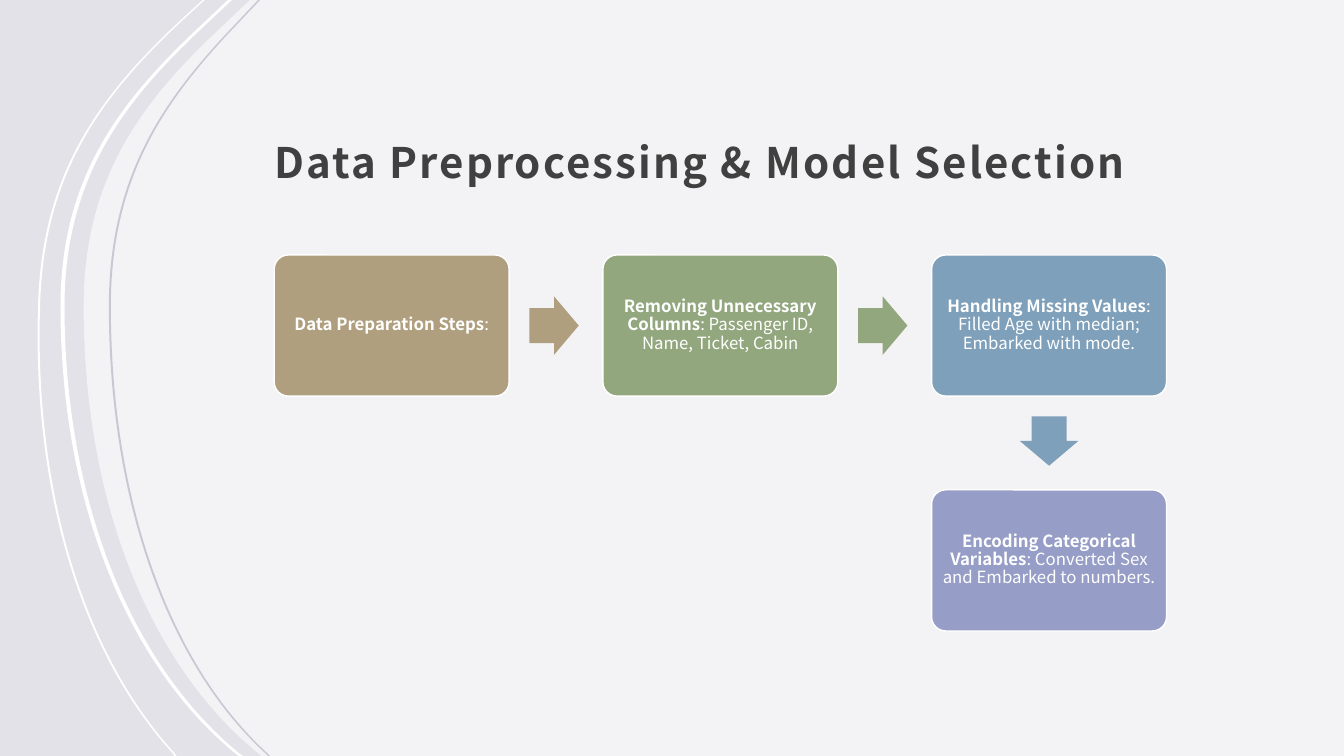
from dataclasses import dataclass

from lxml import etree
from pptx import Presentation
from pptx.dml.color import RGBColor
from pptx.enum.shapes import MSO_SHAPE
from pptx.enum.text import MSO_ANCHOR, MSO_AUTO_SIZE, PP_ALIGN
from pptx.oxml.ns import qn
from pptx.util import Inches, Pt

ROUNDED = MSO_SHAPE.ROUNDED_RECTANGLE
ARROW = MSO_SHAPE.RIGHT_ARROW
MIDDLE, BOTTOM = MSO_ANCHOR.MIDDLE, MSO_ANCHOR.BOTTOM
LEFT, CENTER = PP_ALIGN.LEFT, PP_ALIGN.CENTER
NO_FIT = MSO_AUTO_SIZE.NONE

Point = tuple[float, float]


@dataclass(frozen=True)
class Theme:
    font: str = "Noto Sans CJK JP"
    title_size: float = 30
    step_size: float = 12
    title: str = "404040"
    white: str = "FFFFFF"
    backdrop: str = "E2E2E8"
    hairline: str = "C8C8D4"
    sand: str = "AF9F7E"
    sage: str = "93A77F"
    steel: str = "7FA0BA"
    lilac: str = "969DC6"


THEME = Theme()
SLIDE_W, SLIDE_H = 13.33, 7.5
BOX_W, BOX_H = 2.33, 1.4
ARROW_W, ARROW_H = 0.49, 0.58
FLOW_LEFT, FLOW_TOP = 2.72, 2.53
COLUMN_PITCH, ROW_PITCH = 3.26, 2.33
ARROW_GAP = 0.2

SWEEP_YS = (0, 0.35, 1.04, 1.79, 3.04, 4.92, 6.57, 7.48, 7.5)
OUTER_YS = (0, 0.24, 0.93, 1.68, 2.97, 4.8, 6.45, 7.47, 7.5)
PANEL_XS = (2.48, 2.11, 1.39, 0.83, 0.83, 0.83, 1.45, 2.57, 2.59)
PANEL_CURVES = (2, 5)
RIBBON_CURVES = (2, 5, 11, 14)


@dataclass(frozen=True)
class Ribbon:
    xs: tuple[float, ...]
    ys: tuple[float, ...]
    thickness: float
    color: str


@dataclass(frozen=True)
class Step:
    heading: str
    detail: str
    color: str
    column: int
    row: int
    next_angle: int | None


RIBBONS = (
    Ribbon((2.01, 1.75, 1.02, 0.43, 0.38, 0.31, 0.78, 1.71, 1.73),
           OUTER_YS, 0.02, THEME.white),
    Ribbon((2.26, 1.89, 1.17, 0.6, 0.6, 0.6, 1.23, 2.34, 2.37),
           SWEEP_YS, 0.04, THEME.white),
    Ribbon((2.56, 2.23, 1.59, 1.08, 1.08, 1.08, 1.64, 2.64, 2.66),
           SWEEP_YS, 0.02, THEME.hairline),
)

STEPS = (
    Step("Data Preparation Steps", ":", THEME.sand, 0, 0, 0),
    Step("Removing Unnecessary Columns", ": Passenger ID, Name, Ticket, Cabin",
         THEME.sage, 1, 0, 0),
    Step("Handling Missing Values",
         ": Filled Age with median; Embarked with mode.", THEME.steel, 2, 0, 90),
    Step("Encoding Categorical Variables",
         ": Converted Sex and Embarked to numbers.", THEME.lilac, 2, 1, None),
)


def assign(target, formats: dict) -> None:
    for attribute, value in formats.items():
        setattr(target, attribute, value)


def paint(shape, color: str, outline: str | None = None) -> None:
    shape.shadow.inherit = False
    shape.fill.solid()
    shape.fill.fore_color.rgb = RGBColor.from_string(color)
    if outline is None:
        shape.line.fill.background()
    else:
        shape.line.color.rgb = RGBColor.from_string(outline)
        shape.line.width = Pt(1)


def add_run(paragraph, text: str, size: float, color: str, bold: bool):
    run = paragraph.add_run()
    run.text = text
    assign(run.font, {"name": THEME.font, "size": Pt(size), "bold": bold})
    run.font.color.rgb = RGBColor.from_string(color)
    return run


def bend(outline, curve_starts: tuple[int, ...]) -> None:
    segments = list(next(outline._element.iter(qn("a:moveTo"))).getparent())
    for start in curve_starts:
        first, second, end = segments[start:start + 3]
        curve = etree.Element(qn("a:cubicBezTo"))
        first.addprevious(curve)
        for segment in (first, second, end):
            curve.append(segment[0])
            segment.getparent().remove(segment)


def add_outline(slide, points: list[Point], curve_starts: tuple[int, ...], color: str):
    corners = [(Inches(x), Inches(y)) for x, y in points]
    builder = slide.shapes.build_freeform(*corners[0])
    builder.add_line_segments(corners[1:], close=True)
    outline = builder.convert_to_shape()
    bend(outline, curve_starts)
    paint(outline, color)
    return outline


def add_panel(slide) -> None:
    edge = list(zip(PANEL_XS, SWEEP_YS))
    corners = [(SLIDE_W, SLIDE_H), (SLIDE_W, 0)]
    panel = add_outline(slide, edge + corners, PANEL_CURVES, THEME.white)
    color = panel._element.spPr.find(qn("a:solidFill"))[0]
    etree.SubElement(color, qn("a:alpha")).set("val", "60000")


def add_ribbon(slide, ribbon: Ribbon) -> None:
    edge = list(zip(ribbon.xs, ribbon.ys))
    far_edge = [(x + ribbon.thickness, y) for x, y in reversed(edge)]
    add_outline(slide, edge + far_edge, RIBBON_CURVES, ribbon.color)


def add_title(slide, text: str) -> None:
    title = slide.shapes.title
    title._element.getparent().append(title._element)
    assign(title, {"left": Inches(2.6), "top": Inches(0.48),
                   "width": Inches(9.18), "height": Inches(1.47)})
    assign(title.text_frame, {
        "word_wrap": True, "auto_size": NO_FIT, "vertical_anchor": BOTTOM,
        "margin_left": Inches(0.12), "margin_right": Inches(0.12),
        "margin_top": Inches(0.12), "margin_bottom": Inches(0.1)})
    paragraph = title.text_frame.paragraphs[0]
    assign(paragraph, {"alignment": LEFT, "line_spacing": 1.2})
    run = add_run(paragraph, text, THEME.title_size, THEME.title, True)
    run.font._element.set("spc", "150")


def add_step(slide, step: Step) -> None:
    left = FLOW_LEFT + step.column * COLUMN_PITCH
    top = FLOW_TOP + step.row * ROW_PITCH
    box = slide.shapes.add_shape(
        ROUNDED, Inches(left), Inches(top), Inches(BOX_W), Inches(BOX_H))
    box.adjustments[0] = 0.1
    paint(box, step.color, THEME.white)
    margins = ("margin_left", "margin_right", "margin_top", "margin_bottom")
    assign(box.text_frame, {"word_wrap": True, "vertical_anchor": MIDDLE,
                            **dict.fromkeys(margins, Inches(0.05))})
    paragraph = box.text_frame.paragraphs[0]
    assign(paragraph, {"alignment": CENTER, "line_spacing": 0.9})
    add_run(paragraph, step.heading, THEME.step_size, THEME.white, True)
    add_run(paragraph, step.detail, THEME.step_size, THEME.white, False)
    if step.next_angle is not None:
        add_arrow(slide, step, left, top)


def add_arrow(slide, step: Step, left: float, top: float) -> None:
    center_x, center_y = left + BOX_W / 2, top + BOX_H / 2
    reach = ARROW_GAP + ARROW_W / 2
    if step.next_angle == 0:
        center_x = left + BOX_W + reach
    else:
        center_y = top + BOX_H + reach
    arrow = slide.shapes.add_shape(
        ARROW, Inches(center_x - ARROW_W / 2), Inches(center_y - ARROW_H / 2),
        Inches(ARROW_W), Inches(ARROW_H))
    arrow.adjustments[0], arrow.adjustments[1] = 0.6, 0.5
    arrow.rotation = step.next_angle
    paint(arrow, step.color)


def main() -> None:
    deck = Presentation()
    assign(deck, {"slide_width": Inches(SLIDE_W), "slide_height": Inches(SLIDE_H)})
    slide = deck.slides.add_slide(deck.slide_layouts.get_by_name("Title Only"))
    slide.background.fill.solid()
    slide.background.fill.fore_color.rgb = RGBColor.from_string(THEME.backdrop)
    add_panel(slide)
    for ribbon in RIBBONS:
        add_ribbon(slide, ribbon)
    add_title(slide, "Data Preprocessing & Model Selection")
    for step in STEPS:
        add_step(slide, step)
    deck.save("out.pptx")


if __name__ == "__main__":
    main()
